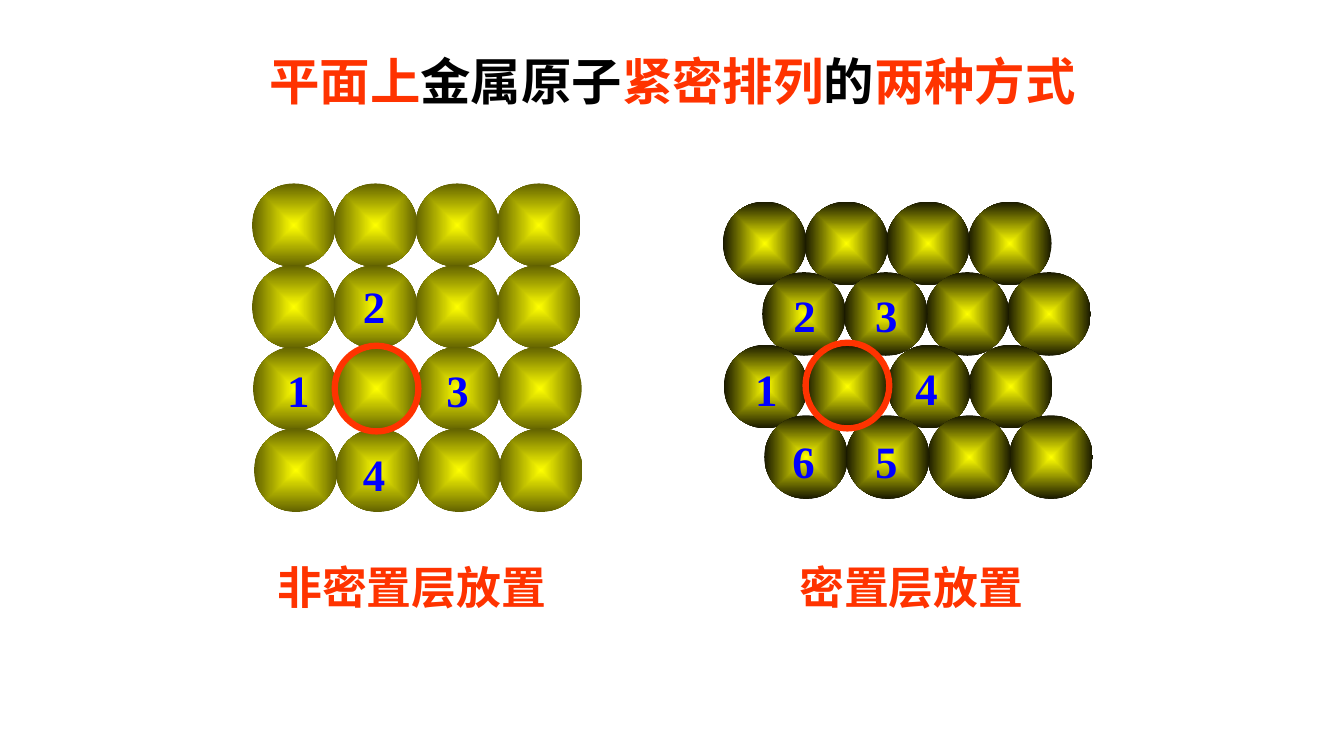
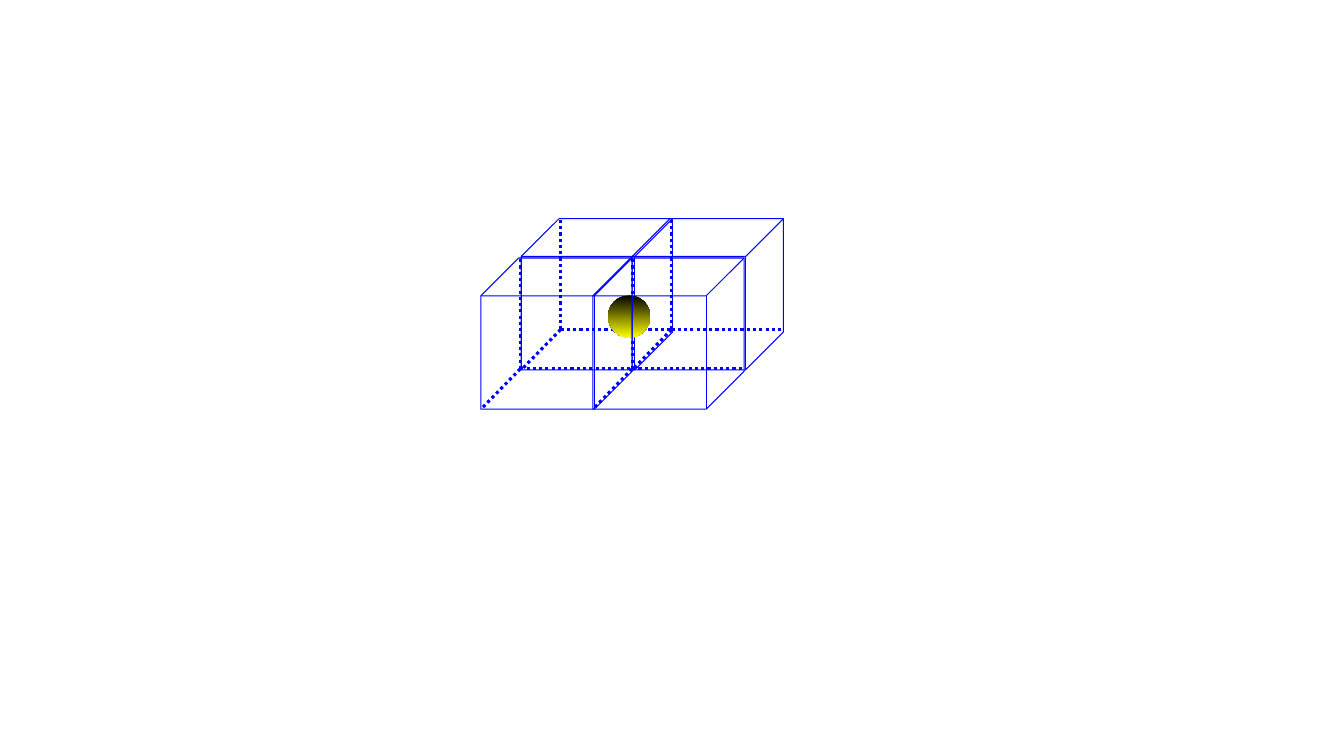
from dataclasses import dataclass

from lxml import etree
from pptx import Presentation
from pptx.dml.color import RGBColor
from pptx.enum.dml import MSO_LINE
from pptx.enum.lang import MSO_LANGUAGE_ID
from pptx.enum.shapes import MSO_CONNECTOR, MSO_SHAPE
from pptx.enum.text import MSO_ANCHOR, PP_ALIGN
from pptx.oxml.ns import qn
from pptx.util import Emu, Pt

OVAL, CUBE = MSO_SHAPE.OVAL, MSO_SHAPE.CUBE
STRAIGHT = MSO_CONNECTOR.STRAIGHT
DOTTED = MSO_LINE.ROUND_DOT
CENTER, LEFT = PP_ALIGN.CENTER, PP_ALIGN.LEFT
MIDDLE, TOP = MSO_ANCHOR.MIDDLE, MSO_ANCHOR.TOP
CHINESE = MSO_LANGUAGE_ID.SIMPLIFIED_CHINESE
EMU_PER_PX = 9144
TITLE_ONLY, BLANK = 5, 6


@dataclass(frozen=True)
class Theme:
    red: str = "FF3300"
    blue: str = "0000FF"
    black: str = "000000"
    yellow: str = "FFFF00"
    olive: str = "616100"
    dark_olive: str = "181800"
    sans: str = "Arial"
    serif: str = "Times New Roman"
    title_size: int = 36
    label_size: int = 32
    thin: float = 0.75
    dots: float = 2.25
    ring: float = 4.5


T = Theme()

ATOM = 83
PITCH = 81
DRAW_ORDER = (0, 3, 2, 1)
SQUARE_ROWS = ((250, 182), (250, 263), (251, 344), (252, 425))
CLOSE_ROWS = ((717, 200), (756, 270), (718, 342), (758, 412))
RINGS = ((332, 343), (799, 340))
NUMBERS = (
    ("1", 275, 350), ("2", 350, 267), ("3", 433, 350), ("4", 350, 433),
    ("1", 739, 349), ("2", 777, 275), ("3", 858, 275), ("4", 898, 348),
    ("5", 858, 420), ("6", 776, 420),
)
CUBE_SIZE, DEPTH, FACE = 150, 39, 110
BACK_CUBES = ((588, 256), (517, 217))
FRONT_CUBES = ((477, 256), (627, 217))


def px(n):
    return Emu(n * EMU_PER_PX)


def rgb(code):
    return RGBColor.from_string(code)


def place(sp, x, y, w, h):
    sp.left, sp.top, sp.width, sp.height = px(x), px(y), px(w), px(h)


def write(sp, runs, size, font, align, anchor):
    tf = sp.text_frame
    tf.vertical_anchor = anchor
    p = tf.paragraphs[0]
    p.alignment = align
    for text, color in runs:
        r = p.add_run()
        r.text = text
        r.font.size = Pt(size)
        r.font.name = font
        r.font.bold = True
        r.font.language_id = CHINESE
        r.font.color.rgb = rgb(color)
    return tf


def add_title(slide, runs):
    sp = slide.shapes.title
    place(sp, 217, 17, 900, 125)
    write(sp, runs, T.title_size, T.sans, CENTER, MIDDLE)


def add_caption(slide, text, x, w):
    sp = slide.shapes.add_textbox(px(x), px(550), px(w), px(64))
    tf = write(sp, [(text, T.red)], T.label_size, T.sans, CENTER, MIDDLE)
    tf.word_wrap = True


def add_number(slide, text, x, y):
    sp = slide.shapes.add_textbox(px(x), px(y), px(42), px(64))
    tf = write(sp, [(text, T.blue)], T.label_size, T.serif, LEFT, TOP)
    tf.word_wrap = False
    tf.margin_top = px(10)


def add_preset(shapes, kind, x, y, w, h):
    sp = shapes.add_shape(kind, px(x), px(y), px(w), px(h))
    sp.shadow.inherit = False
    return sp


def add_outline(shapes, kind, x, y, w, h, color, width):
    sp = add_preset(shapes, kind, x, y, w, h)
    sp.fill.background()
    sp.line.color.rgb = rgb(color)
    sp.line.width = Pt(width)
    return sp


def add_ball(shapes, x, y, size, start, end):
    sp = add_preset(shapes, OVAL, x, y, size, size)
    sp.line.fill.background()
    sp.fill.gradient()
    sp.fill.gradient_angle = 270
    for stop, color, position in zip(sp.fill.gradient_stops, (start, end), (0, 1)):
        stop.color.rgb = rgb(color)
        stop.position = position
    return sp


def glow_from_center(sp):
    grad = sp._element.spPr.find(qn("a:gradFill"))
    grad.remove(grad.find(qn("a:lin")))
    glow = etree.SubElement(grad, qn("a:path"), {"path": "shape"})
    etree.SubElement(glow, qn("a:fillToRect"), dict.fromkeys("ltrb", "50000"))


def add_layer(slide, rows, edge):
    group = slide.shapes.add_group_shape()
    for x, y in rows:
        for col in DRAW_ORDER:
            glow_from_center(add_ball(group.shapes, x + col * PITCH, y, ATOM, T.yellow, edge))


def add_hidden_edge(shapes, start, end):
    line = shapes.add_connector(STRAIGHT, *map(px, start + end))
    line.line.color.rgb = rgb(T.blue)
    line.line.width = Pt(T.dots)
    line.line.dash_style = DOTTED
    etree.SubElement(line._element.spPr, qn("a:effectLst"))


def add_cell(slide, x, y):
    shapes = slide.shapes.add_group_shape().shapes
    cube = add_outline(shapes, CUBE, x, y, CUBE_SIZE, CUBE_SIZE, T.blue, T.thin)
    cube.adjustments[0] = 0.25
    corner = (x + DEPTH, y + FACE)
    for end in ((x + DEPTH, y), (x + DEPTH + FACE, y + FACE), (x, y + CUBE_SIZE)):
        add_hidden_edge(shapes, corner, end)


def build_layers(prs):
    slide = prs.slides.add_slide(prs.slide_layouts[TITLE_ONLY])
    add_title(slide, [
        ("平面上", T.red), ("金属原子", T.black), ("紧密排列", T.red),
        ("的", T.black), ("两种方式", T.red),
    ])
    add_caption(slide, "非密置层放置", 217, 383)
    add_caption(slide, "密置层放置", 758, 292)
    add_layer(slide, SQUARE_ROWS, T.olive)
    add_layer(slide, CLOSE_ROWS, T.dark_olive)
    for x, y in RINGS:
        add_outline(slide.shapes, OVAL, x, y, 83, 85, T.red, T.ring)
    for text, x, y in NUMBERS:
        add_number(slide, text, x, y)


def build_cells(prs):
    slide = prs.slides.add_slide(prs.slide_layouts[BLANK])
    for x, y in BACK_CUBES:
        add_cell(slide, x, y)
    add_ball(slide.shapes, 603, 293, 42, T.black, T.yellow)
    for x, y in FRONT_CUBES:
        add_cell(slide, x, y)


def main():
    prs = Presentation()
    prs.slide_width, prs.slide_height = px(1333), px(750)
    build_layers(prs)
    build_cells(prs)
    prs.save("out.pptx")


if __name__ == "__main__":
    main()
